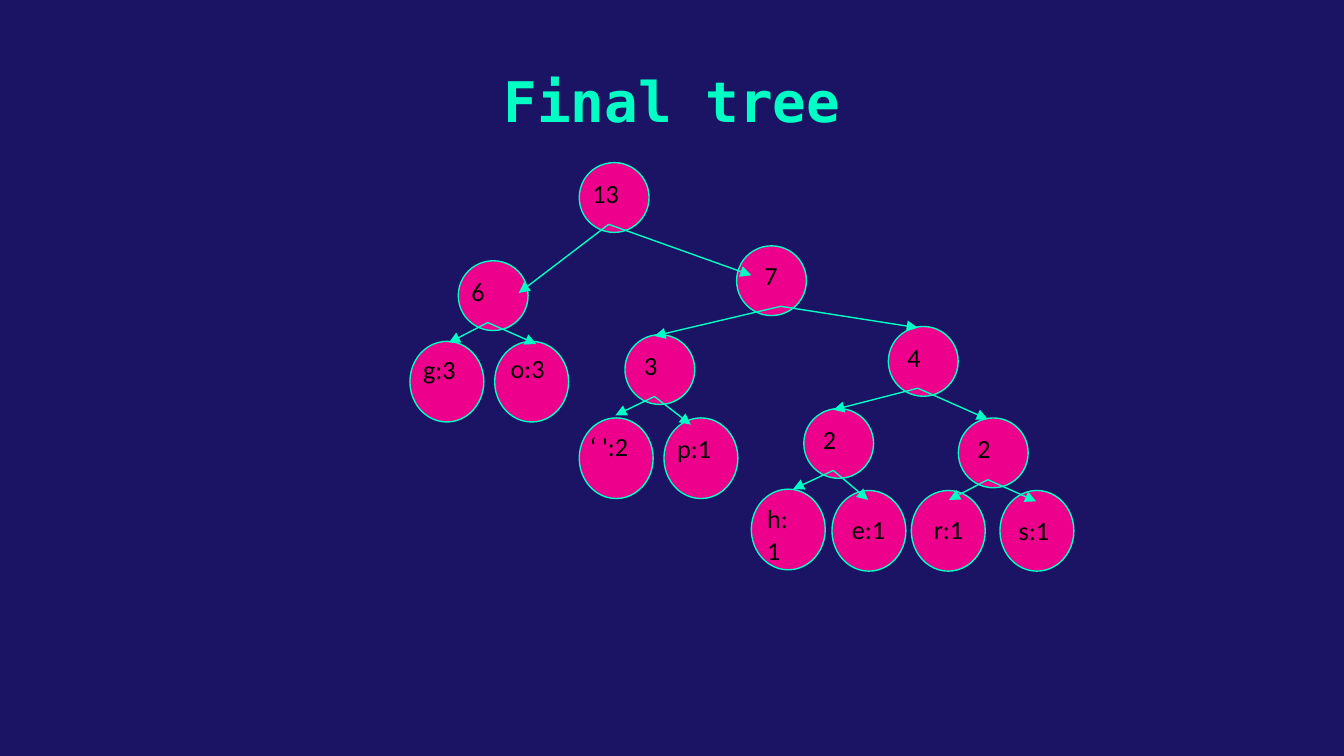
from collections import namedtuple

from lxml.etree import SubElement
from pptx import Presentation
from pptx.dml.color import RGBColor
from pptx.enum.shapes import MSO_CONNECTOR, MSO_SHAPE
from pptx.enum.text import MSO_ANCHOR, PP_ALIGN
from pptx.oxml.ns import qn
from pptx.util import Pt

COLORS = {"background": "1B1464", "accent": "00FFC5", "node": "EC008C", "label": "000000"}
TITLE_FONT = {"name": "DejaVu Sans Mono", "size": Pt(30), "bold": True}
LABEL_FONT = {"name": "Calibri", "size": Pt(14), "bold": False}
LEAF_SIZE = (39.6, 43.2)
PARENT_SIZE = (37.4, 37.4)
ARROW_START = (15.8, 32.4)

Node = namedtuple("Node", "text position label_offset label_width tip")

LEAVES = {
    "g": Node("g:3", (0, 95.8), (0, -0.7), 33.1, (20.9, 0.7)),
    "o": Node("o:3", (45.4, 95.8), (1.4, -1.4), 37.4, (22.3, 1.4)),
    "space": Node("‘ ':2", (90.7, 136.8), (-1.4, -0.7), 39.6, (19.4, -1.4)),
    "p": Node("p:1", (136.1, 136.8), (0, 0.7), 39.6, (14.4, 3.6)),
    "h": Node("h:1", (182.9, 175), (1.4, 0), 30.2, (22.3, 0)),
    "e": Node("e:1", (226.1, 175.7), (3.6, 5), 33.1, (19.4, 5)),
    "r": Node("r:1", (268.6, 175.7), (5, 5), 30.2, (20.2, 5)),
    "s": Node("s:1", (316.1, 175.7), (2.9, 5.8), 33.1, (19.4, 5.8)),
}
PARENTS = {
    "rs": Node(" 2", (293.8, 136.8), (0, 0.7), 33.1, (15.8, 0.7)),
    "he": Node(" 2", (211, 131.8), (0, 0.7), 33.1, (15.8, 0.7)),
    "space p": Node(" 3", (115.2, 92.2), (0, 0.7), 33.1, (15.8, 0.7)),
    "hers": Node(" 4", (256.3, 87.8), (0, 0.7), 33.1, (15.8, 0.7)),
    "go": Node("6", (25.9, 52.6), (0, 0.7), 33.1, (32.4, 17.3)),
    "right": Node("7", (175, 44.6), (7.9, 0), 33.1, (7.9, 15.8)),
    "root": Node("13", (90.7, 0), (0, 0.7), 33.1, None),
}
CHILDREN = {
    "rs": ("s", "r"),
    "he": ("h", "e"),
    "space p": ("space", "p"),
    "hers": ("he", "rs"),
    "go": ("o", "g"),
    "right": ("hers", "space p"),
    "root": ("right", "go"),
}


def color(name):
    return RGBColor.from_string(COLORS[name])


def shift(point, offset):
    return point[0] + offset[0], point[1] + offset[1]


def add_text(slide, box, text, font_values, color_name, alignment, anchor):
    text_box = slide.shapes.add_textbox(*map(Pt, box))
    frame = text_box.text_frame
    frame_values = {"word_wrap": True, "vertical_anchor": anchor}
    for side in ("left", "right", "top", "bottom"):
        frame_values[f"margin_{side}"] = Pt(7.2)
    for name, value in frame_values.items():
        setattr(frame, name, value)
    paragraph = frame.paragraphs[0]
    paragraph.alignment = alignment
    run = paragraph.add_run()
    run.text = text
    for name, value in font_values.items():
        setattr(run.font, name, value)
    run.font.color.rgb = color(color_name)


def style_line(line):
    line.color.rgb = color("accent")
    line.width = Pt(0.75)


def add_ellipse(slide, origin, node, size):
    position = shift(origin, node.position)
    shape = slide.shapes.add_shape(MSO_SHAPE.OVAL, *map(Pt, position + size))
    shape.shadow.inherit = False
    shape.fill.solid()
    shape.fill.fore_color.rgb = color("node")
    style_line(shape.line)


def add_label(slide, origin, node):
    position = shift(shift(origin, node.position), node.label_offset)
    box = position + (node.label_width, 33)
    add_text(slide, box, node.text, LABEL_FONT, "label", PP_ALIGN.LEFT, MSO_ANCHOR.TOP)


def add_arrow(slide, start, end):
    connector = slide.shapes.add_connector(MSO_CONNECTOR.STRAIGHT, *map(Pt, start + end))
    style_line(connector.line)
    SubElement(connector.line._get_or_add_ln(), qn("a:tailEnd"), type="triangle")
    SubElement(connector._element.spPr, qn("a:effectLst"))


def add_title(slide, box):
    add_text(slide, box, "Final tree", TITLE_FONT, "accent", PP_ALIGN.CENTER, MSO_ANCHOR.MIDDLE)


def add_tree(slide, origin):
    nodes = {**LEAVES, **PARENTS}
    for leaf in LEAVES.values():
        add_ellipse(slide, origin, leaf, LEAF_SIZE)
    for leaf in LEAVES.values():
        add_label(slide, origin, leaf)
    for name, parent in PARENTS.items():
        add_ellipse(slide, origin, parent, PARENT_SIZE)
        add_label(slide, origin, parent)
        start = shift(shift(shift(origin, parent.position), parent.label_offset), ARROW_START)
        for child_name in CHILDREN[name]:
            child = nodes[child_name]
            add_arrow(slide, start, shift(shift(origin, child.position), child.tip))


def main():
    presentation = Presentation()
    presentation.slide_width = Pt(720)
    presentation.slide_height = Pt(405)
    slide = presentation.slides.add_slide(presentation.slide_layouts[6])
    slide.background.fill.solid()
    slide.background.fill.fore_color.rgb = color("background")
    add_title(slide, (100.8, 27.4, 518.4, 52.6))
    add_tree(slide, (219.6, 87.1))
    presentation.save("out.pptx")


if __name__ == "__main__":
    main()
